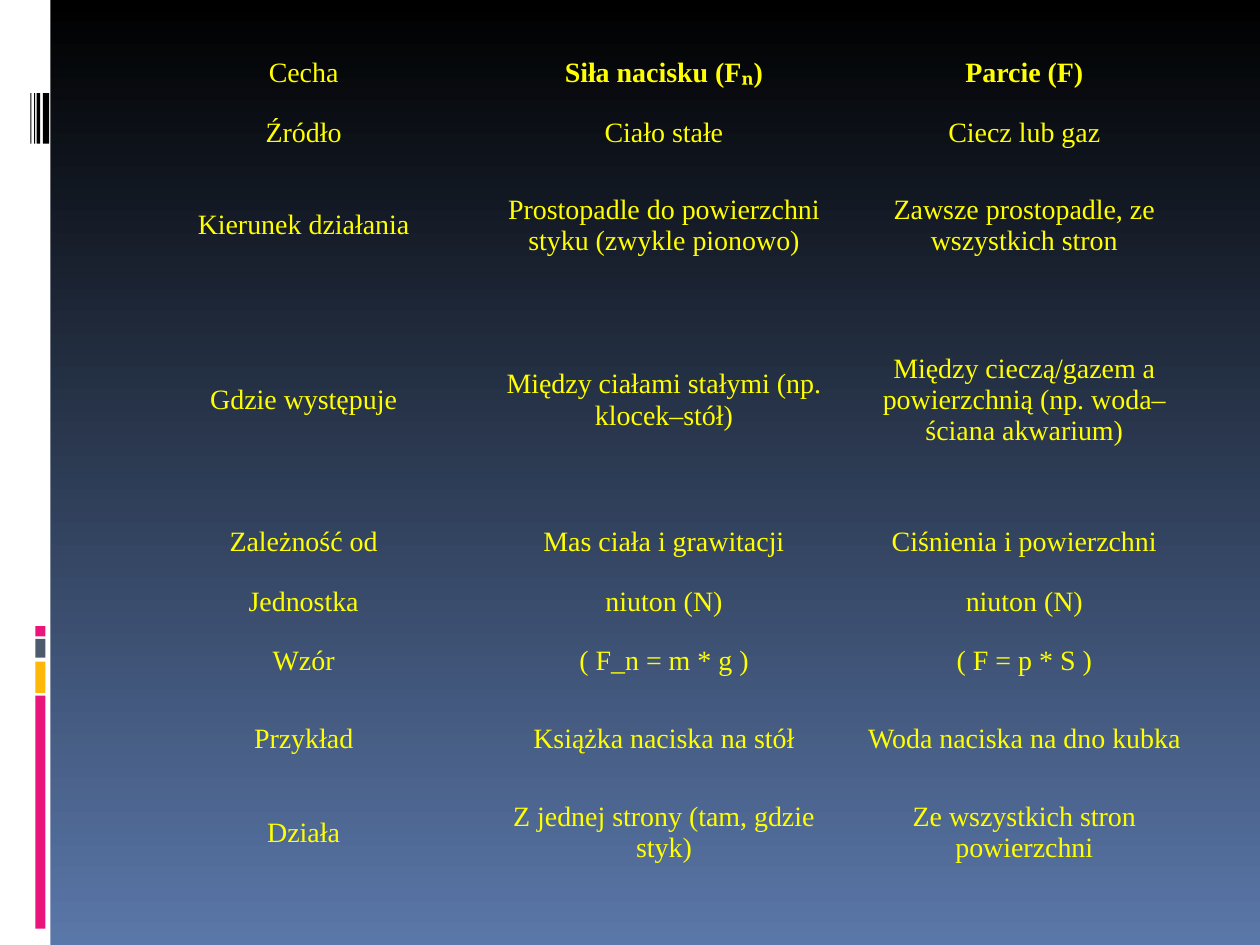
from lxml import etree
from pptx import Presentation
from pptx import util as u
from pptx.dml.color import RGBColor
from pptx.enum import shapes, text
from pptx.oxml.ns import qn

INK = {
    "top": "000000", "base": "5A77A9", "side": "FFFFFF", "pink": "EA157A",
    "gold": "FEB80A", "slate": "4E5B6F", "bar": "000000", "text": "FFFF00",
}

# Side stripe: blocks (top, height, colour) and bars (left, width)
BLOCKS = [(5.52, 1.85, "pink"), (5.25, 0.25, "gold"),
          (5.07, 0.15, "slate"), (4.97, 0.08, "pink")]
BARS = [(0.34, 0.05), (0.29, 0.03), (0.27, 0.01), (0.24, 0.01)]

# Table: row height, then the cells
ROWS = [
    (0.6, "Cecha", "Siła nacisku (Fₙ)", "Parcie (F)"),
    (0.35, "Źródło", "Ciało stałe", "Ciecz lub gaz"),
    (1.12, "Kierunek działania",
     "Prostopadle do powierzchni styku (zwykle pionowo)",
     "Zawsze prostopadle, ze wszystkich stron"),
    (1.65, "Gdzie występuje", "Między ciałami stałymi (np. klocek–stół)",
     "Między cieczą/gazem a powierzchnią (np. woda–ściana akwarium)"),
    (0.6, "Zależność od", "Mas ciała i grawitacji",
     "Ciśnienia i powierzchni"),
    (0.35, "Jednostka", "niuton (N)", "niuton (N)"),
    (0.6, "Wzór", "( F_n = m * g )", "( F = p * S )"),
    (0.63, "Przykład", "Książka naciska na stół",
     "Woda naciska na dno kubka"),
    (0.86, "Działa", "Z jednej strony (tam, gdzie styk)",
     "Ze wszystkich stron powierzchni"),
]


def rgb(name):
    return RGBColor.from_string(INK[name])


def write(frame, words, font="Times New Roman", size=16, color="text",
          bold=False, align=text.PP_ALIGN.CENTER):
    para = frame.paragraphs[0]
    para.alignment = align
    run = para.add_run()
    run.text = words
    run.font.name = font
    run.font.size = u.Pt(size)
    run.font.bold = bold
    run.font.color.rgb = rgb(color)


class Deck:
    def __init__(self, wide, high):
        self.show = Presentation()
        self.show.slide_width = u.Inches(wide)
        self.show.slide_height = u.Inches(high)
        self.slide = self.show.slides.add_slide(self.show.slide_layouts[6])

    def shade(self, first, last):
        fill = self.slide.background.fill
        fill.gradient()
        fill.gradient_angle = 270
        for stop, name in zip(fill.gradient_stops, (first, last)):
            stop.color.rgb = rgb(name)

    def rect(self, left, top, wide, high, color):
        box = self.slide.shapes.add_shape(
            shapes.MSO_SHAPE.RECTANGLE,
            *map(u.Inches, (left, top, wide, high)))
        box.shadow.inherit = False
        box.fill.solid()
        box.fill.fore_color.rgb = rgb(color)
        box.line.fill.background()

    def cell(self, cell, words, bold):
        cell.margin_left = cell.margin_right = u.Inches(0.07)
        cell.margin_top = cell.margin_bottom = u.Inches(0.05)
        cell.vertical_anchor = text.MSO_ANCHOR.MIDDLE
        # Clear borders come before the fill
        props = cell._tc.get_or_add_tcPr()
        for side in ("a:lnL", "a:lnR", "a:lnT", "a:lnB"):
            line = etree.SubElement(props, qn(side))
            etree.SubElement(line, qn("a:noFill"))
        cell.fill.background()
        write(cell.text_frame, words, bold=bold)

    def table(self, left, top, col, rows):
        count = len(rows[0]) - 1
        high = sum(row[0] for row in rows)
        grid = self.slide.shapes.add_table(
            len(rows), count,
            *map(u.Inches, (left, top, col * count, high))).table
        grid.first_row = grid.horz_banding = False
        for column in grid.columns:
            column.width = u.Inches(col)
        for r, (tall, *cells) in enumerate(rows):
            grid.rows[r].height = u.Inches(tall)
            for c, words in enumerate(cells):
                self.cell(grid.cell(r, c), words, bold=r == 0 and c > 0)


def main():
    deck = Deck(10, 7.5)
    deck.shade("top", "base")

    # Side stripe
    deck.rect(0, 0, 0.4, 7.5, "side")
    for top, high, color in BLOCKS:
        deck.rect(0.28, top, 0.08, high, color)
    for left, wide in BARS:
        deck.rect(left, 0.74, wide, 0.4, "bar")

    # Comparison table
    deck.table(0.98, 0.28, 2.86, ROWS)
    deck.show.save("out.pptx")


if __name__ == "__main__":
    main()
